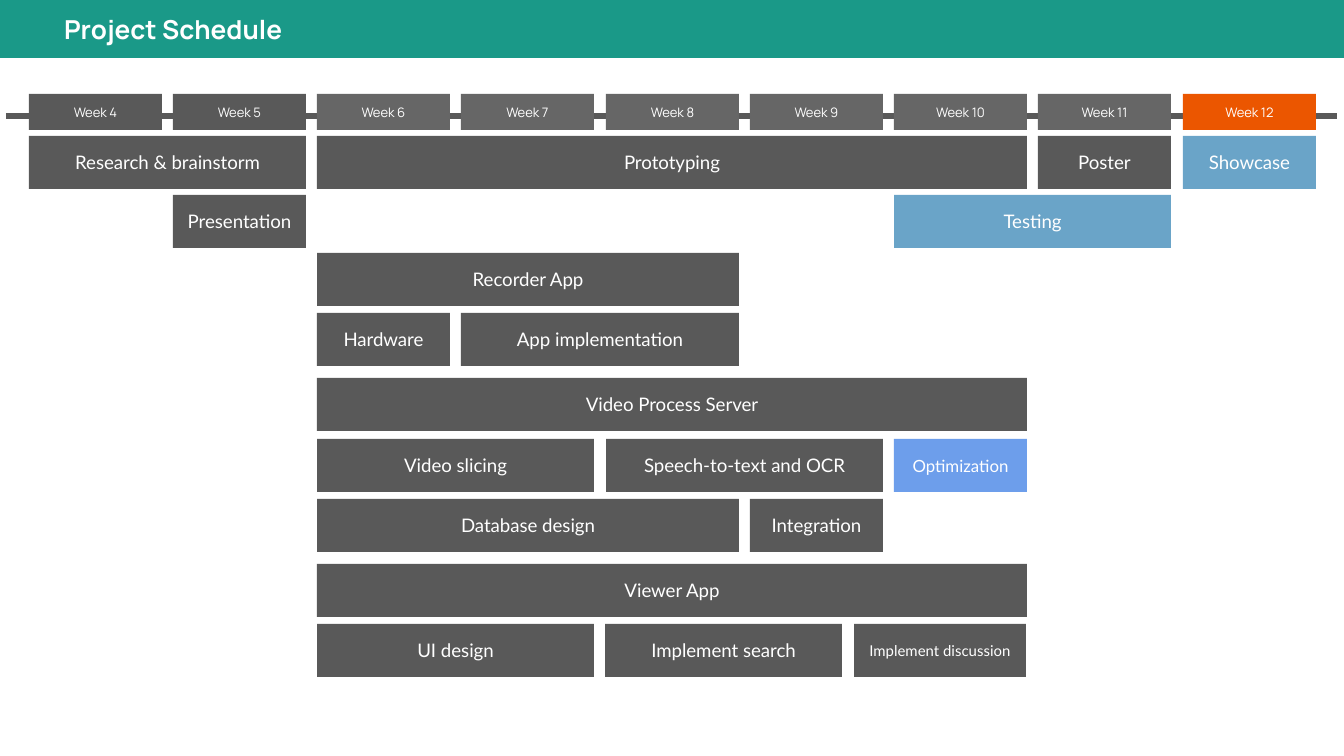
from lxml import etree
from pptx import Presentation
from pptx import util as u
from pptx.dml.color import RGBColor
from pptx.enum import shapes, text
from pptx.oxml import ns

PX = 914400 * 10 / 1344
INSET = 13

TEAL = RGBColor(0x1A, 0x99, 0x88)
DARK = RGBColor(0x59, 0x59, 0x59)
GRAY = RGBColor(0x66, 0x66, 0x66)
ORANGE = RGBColor(0xEB, 0x56, 0x00)
SKY = RGBColor(0x6A, 0xA4, 0xC8)
BLUE = RGBColor(0x6D, 0x9E, 0xEB)
WHITE = RGBColor(0xFF, 0xFF, 0xFF)

WEEK_TOP, WEEK_HEIGHT, WEEK_WIDTH = 94, 36, 133
TASK_HEIGHT = 53

TASKS = [
    (136, [("Research & brainstorm", 4, 5, DARK), ("Prototyping", 6, 10, DARK),
           ("Poster", 11, 11, DARK), ("Showcase", 12, 12, SKY)]),
    (195, [("Presentation", 5, 5, DARK), ("Testing", 10, 11, SKY)]),
    (253, [("Recorder App", 6, 8, DARK)]),
    (313, [("Hardware", 6, 6, DARK), ("App implementation", 7, 8, DARK)]),
    (378, [("Video Process Server", 6, 10, DARK)]),
    (439, [("Video slicing", 6, 7, DARK), ("Speech-to-text and OCR", 8, 9, DARK),
           ("Optimization", 10, 10, BLUE)]),
    (499, [("Database design", 6, 8, DARK), ("Integration", 9, 9, DARK)]),
    (564, [("Viewer App", 6, 10, DARK)]),
    (624, [("UI design", 6, 7, DARK)]),
]
SMALL_LABELS = {"Optimization": 9}


def px(count):
    return u.Emu(round(count * PX))


def week_left(week):
    return 29 + (week - 4) * 577 // 4


def week_color(week):
    if week == 12:
        return ORANGE
    return DARK if week < 6 else GRAY


def set_font(para, name, size, bold=False):
    para.font.name = name
    para.font.size = u.Pt(size)
    para.font.bold = bold
    para.font.color.rgb = WHITE


def set_frame(frame, anchor):
    frame.word_wrap = True
    frame.auto_size = text.MSO_AUTO_SIZE.NONE
    frame.vertical_anchor = anchor
    frame.margin_left = frame.margin_right = px(INSET)
    frame.margin_top = frame.margin_bottom = px(INSET)


def add_box(page, left, top, width, height, color):
    box = page.shapes.add_shape(shapes.MSO_SHAPE.RECTANGLE,
                                px(left), px(top), px(width), px(height))
    box.shadow.inherit = False
    box.fill.solid()
    box.fill.fore_color.rgb = color
    box.line.fill.background()
    return box


def add_label(box, label, font, size):
    set_frame(box.text_frame, text.MSO_ANCHOR.MIDDLE)
    para = box.text_frame.paragraphs[0]
    para.text = label
    para.alignment = text.PP_ALIGN.CENTER
    set_font(para, font, size)


def add_timeline(page):
    line = page.shapes.add_connector(shapes.MSO_CONNECTOR.STRAIGHT,
                                     px(6), px(116), px(1337), px(116))
    line.line.color.rgb = DARK
    line.line.width = u.Pt(3)
    etree.SubElement(line._element.spPr, ns.qn("a:effectLst"))


def add_title(page):
    add_box(page, 0, 0, 1344, 58, TEAL)
    title = page.shapes.title
    page.shapes._spTree.append(title._element)
    title.left, title.top, title.width, title.height = px(51), px(0), px(335), px(58)
    set_frame(title.text_frame, text.MSO_ANCHOR.BOTTOM)
    para = title.text_frame.paragraphs[0]
    para.text = "Project Schedule"
    para.alignment = text.PP_ALIGN.LEFT
    set_font(para, "Manrope", 14, bold=True)


def add_week(page, week):
    box = add_box(page, week_left(week), WEEK_TOP, WEEK_WIDTH, WEEK_HEIGHT,
                  week_color(week))
    add_label(box, f"Week {week}", "Manrope", 7)


def add_task(page, label, left, right, top, color, size=10):
    box = add_box(page, left, top, right - left, TASK_HEIGHT, color)
    add_label(box, label, "Lato", size)


def main():
    deck = Presentation()
    deck.slide_width, deck.slide_height = px(1344), px(756)
    page = deck.slides.add_slide(deck.slide_layouts[5])
    add_timeline(page)
    add_title(page)
    for week in range(4, 13):
        add_week(page, week)
    for top, row in TASKS:
        for label, first, last, color in row:
            add_task(page, label, week_left(first), week_left(last) + WEEK_WIDTH,
                     top, color, SMALL_LABELS.get(label, 10))
    add_task(page, "Implement search", 605, 842, 624, DARK)
    add_task(page, "Implement discussion", 854, 1026, 624, DARK, 8)
    deck.save("out.pptx")


if __name__ == "__main__":
    main()
